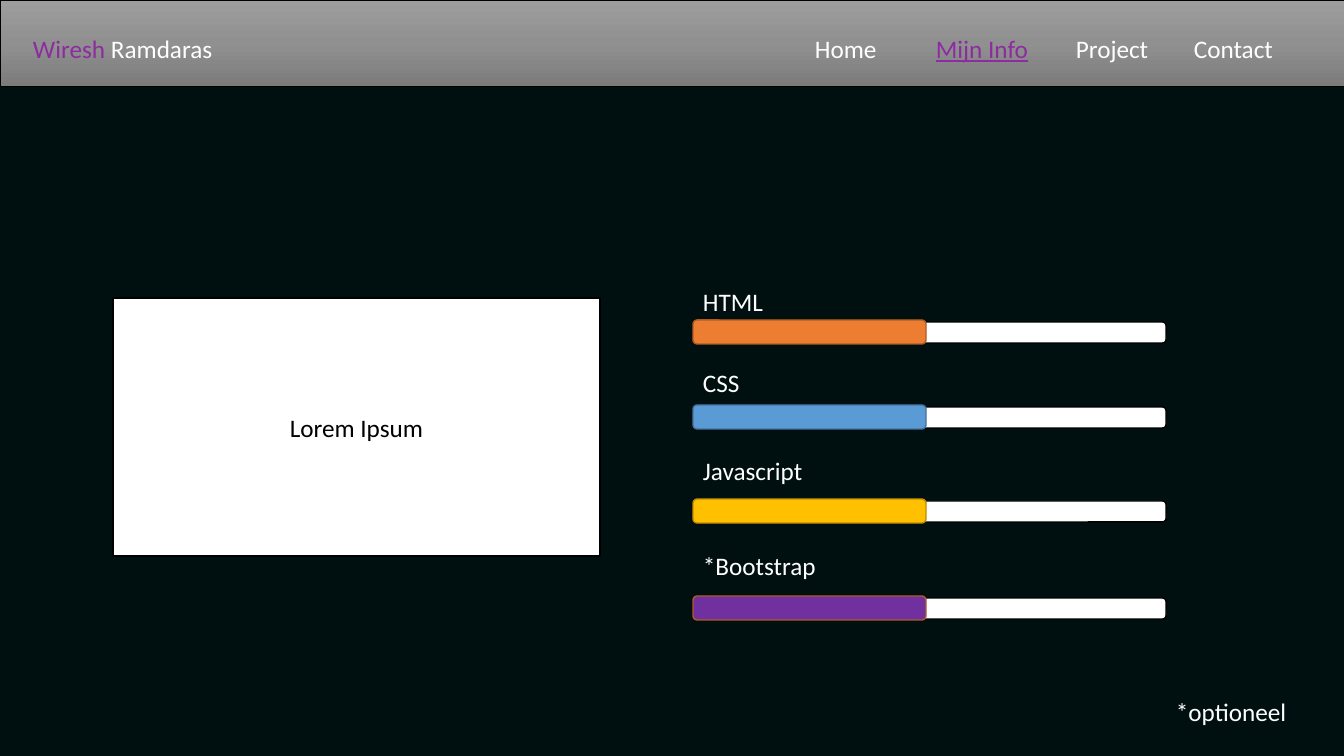
from copy import deepcopy
from dataclasses import dataclass

from pptx import Presentation
from pptx.dml.color import RGBColor
from pptx.enum.shapes import MSO_SHAPE
from pptx.enum.text import MSO_ANCHOR, PP_ALIGN
from pptx.oxml.ns import qn
from pptx.util import Pt

EMU_PER_PIXEL = 914400 / 100.8


@dataclass(frozen=True)
class Theme:
    """Colours, font and sizes of the slide."""
    background: str = "001011"
    white: str = "FFFFFF"
    black: str = "000000"
    accent: str = "8D2CA0"
    header: tuple = ((0, "9D9D9D"), (0.5, "909090"), (1, "7C7C7C"))
    html: tuple = ("ED7D31", "AF5C24")
    css: tuple = ("5B9BD5", "43739E")
    javascript: tuple = ("FFC000", "BD8E00")
    bootstrap: tuple = ("7030A0", "AF5C24")
    font: str = "Calibri"
    text_size: int = 18


theme = Theme()


def add_box(kind, bounds, fill, line, line_width=1):
    """Add a filled, outlined shape without shadow; bounds are in pixels."""
    box = slide.shapes.add_shape(kind, *(round(value * EMU_PER_PIXEL) for value in bounds))
    box.shadow.inherit = False
    box.fill.solid()
    box.fill.fore_color.rgb = RGBColor.from_string(fill)
    box.line.color.rgb = RGBColor.from_string(line)
    box.line.width = Pt(line_width)
    return box


def add_text(runs, bounds=None, box=None, underline=None):
    """Write (text, colour) runs into a box, or into a new text box at bounds."""
    if box is None:
        box = slide.shapes.add_textbox(*(round(value * EMU_PER_PIXEL) for value in bounds))
    box.text_frame.word_wrap = True
    para = box.text_frame.paragraphs[0]
    for text, color in runs:
        span = para.add_run()
        span.text = text
        span.font.name = theme.font
        span.font.size = Pt(theme.text_size)
        span.font.color.rgb = RGBColor.from_string(color)
        span.font.underline = underline
    return para


deck = Presentation()
deck.slide_width = round(1344 * EMU_PER_PIXEL)
deck.slide_height = round(756 * EMU_PER_PIXEL)
slide = deck.slides.add_slide(deck.slide_layouts[6])
slide.background.fill.solid()
slide.background.fill.fore_color.rgb = RGBColor.from_string(theme.background)

# Header bar with a three-stop vertical gradient
header = add_box(MSO_SHAPE.RECTANGLE, (0, 0, 1344, 86), theme.white, theme.black, 0.5)
header.fill.gradient()
header.fill.gradient_angle = 270
stop_list = next(header.element.iter(qn("a:gsLst")))
stop_list.append(deepcopy(stop_list[-1]))
for stop, (position, color) in zip(header.fill.gradient_stops, theme.header):
    stop.position = position
    stop.color.rgb = RGBColor.from_string(color)

# Site name and navigation
add_text([("Wiresh", theme.accent), (" Ramdaras", theme.white)], (23, 28, 201, 40))
navigation = [
    ("Home", 805, 125),
    ("Mijn Info", 926, 125),
    ("Project", 1066, 102),
    ("Contact", 1184, 102),
]
for name, left, width in navigation:
    active = name == "Mijn Info"
    color = theme.accent if active else theme.white
    add_text([(name, color)], (left, 28, width, 40), underline=active or None)

# Introduction panel
panel = add_box(MSO_SHAPE.RECTANGLE, (113, 298, 487, 258), theme.white, theme.black)
panel.text_frame.vertical_anchor = MSO_ANCHOR.MIDDLE
add_text([("Lorem Ipsum", theme.black)], box=panel).alignment = PP_ALIGN.CENTER

# Skill bars: label, white track, coloured level
skills = [
    ("HTML", 281, 320, theme.html),
    ("CSS", 362, 405, theme.css),
    ("Javascript", 450, 499, theme.javascript),
    ("*Bootstrap", 545, 596, theme.bootstrap),
]
for name, label_top, level_top, (fill, line) in skills:
    add_text([(name, theme.white)], (693, label_top, 170, 40))
    add_box(MSO_SHAPE.ROUNDED_RECTANGLE, (693, level_top + 2, 473, 21), theme.white, theme.black)
    add_box(MSO_SHAPE.ROUNDED_RECTANGLE, (693, level_top, 233, 24), fill, line)

add_text([("*optioneel", theme.white)], (1166, 691, 146, 40))

deck.save("out.pptx")
